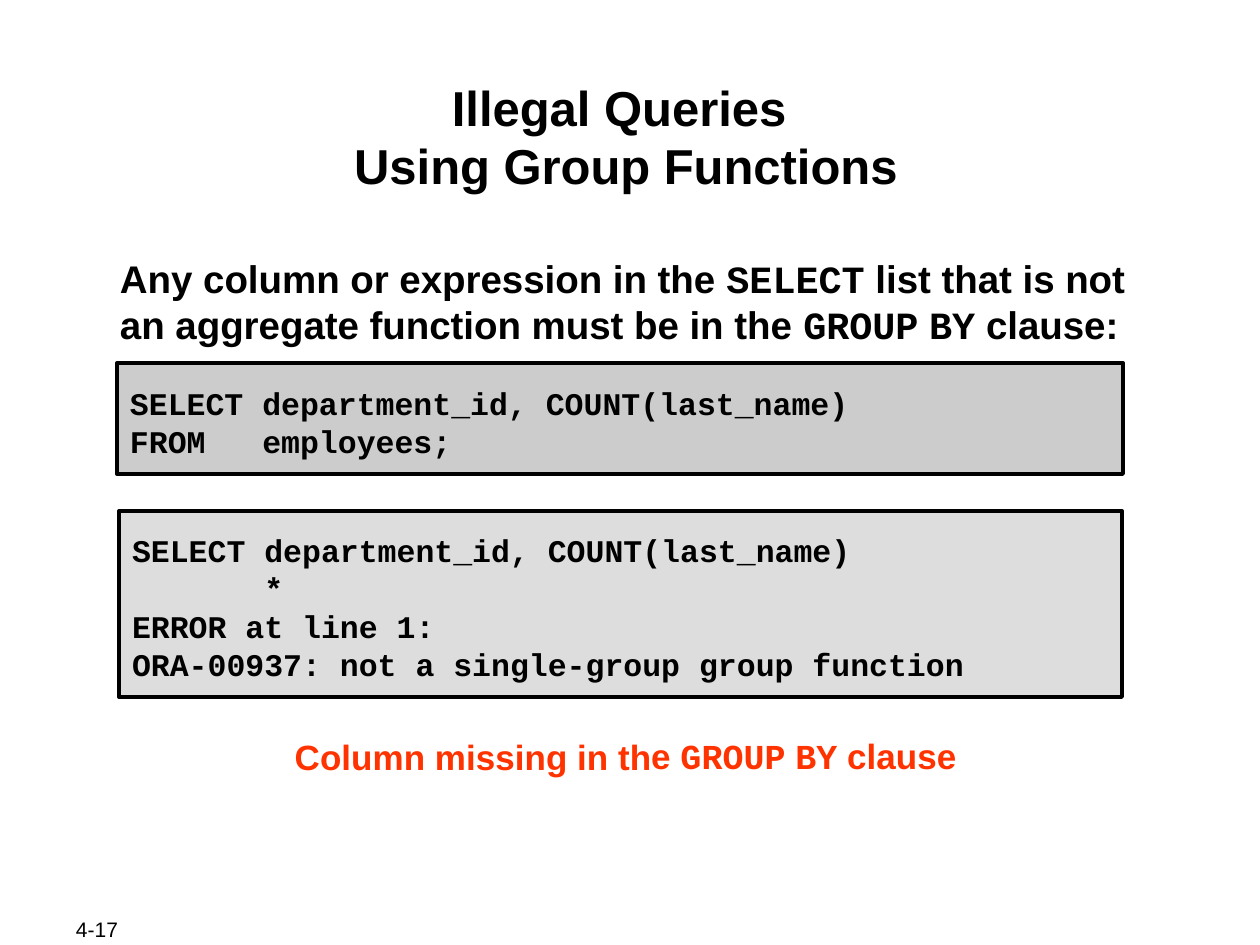
"""Build the slide on illegal queries using group functions."""
from dataclasses import dataclass

from pptx import Presentation
from pptx.dml.color import RGBColor
from pptx.enum.shapes import MSO_SHAPE
from pptx.enum.text import MSO_ANCHOR, PP_ALIGN
from pptx.util import Emu, Pt

PIXELS_PER_INCH = 126
EMU_PER_INCH = 914400
BLANK_LAYOUT = 6
RECTANGLE = MSO_SHAPE.RECTANGLE
TOP, MIDDLE = MSO_ANCHOR.TOP, MSO_ANCHOR.MIDDLE
LEFT, CENTER = PP_ALIGN.LEFT, PP_ALIGN.CENTER


@dataclass(frozen=True)
class Theme:
    """Colours, fonts and type sizes of the slide."""
    ink: str = "000000"
    warning: str = "FF3300"
    query_fill: str = "CCCCCC"
    error_fill: str = "DDDDDD"
    text_font: str = "Arial"
    code_font: str = "Courier New"
    title_size: int = 28
    body_size: int = 22
    caption_size: int = 20
    code_size: int = 18
    footer_size: int = 12
    border_width: float = 2.25
    line_pitch: float = 1.2


THEME = Theme()


@dataclass(frozen=True)
class Block:
    """A text block in px, where backticks switch to the code font."""
    box: tuple[int, int, int, int]
    paragraphs: tuple[str, ...]
    size: int
    insets: tuple[int, int, int, int]
    anchor: MSO_ANCHOR = TOP
    align: PP_ALIGN = LEFT
    color: str = THEME.ink
    bold: bool = True
    fill: str | None = None
    rotation: float = 0


TIGHT_INSETS = (1, 4, 1, 1)
CODE_INSETS = (13, 12, 13, 6)
CAPTION_INSETS = (13, 10, 13, 6)
FOOTER_INSETS = (13, 6, 13, 6)

BLOCKS = (
    Block((63, 917, 134, 25), ("4-17",), THEME.footer_size, FOOTER_INSETS,
          anchor=MIDDLE, bold=False),
    Block((122, 73, 1008, 121), ("Illegal Queries \vUsing Group Functions",),
          THEME.title_size, TIGHT_INSETS, align=CENTER),
    Block((119, 251, 1015, 96),
          ("Any column or expression in the `SELECT` list that is not an "
           "aggregate function must be in the `GROUP` `BY` clause:",),
          THEME.body_size, TIGHT_INSETS),
    Block((117, 363, 1006, 111),
          ("`SELECT department_id, COUNT(last_name)`",
           "`FROM   employees;`"),
          THEME.code_size, CODE_INSETS, anchor=MIDDLE, fill=THEME.query_fill),
    Block((119, 511, 1003, 186),
          ("`SELECT department_id, COUNT(last_name)`",
           "`       *`",
           "`ERROR at line 1:`",
           "`ORA-00937: not a single-group group function`"),
          THEME.code_size, CODE_INSETS, anchor=MIDDLE, fill=THEME.error_fill),
    Block((170, 725, 911, 54),
          ("Column missing in the `GROUP` `BY` clause",),
          THEME.caption_size, CAPTION_INSETS, align=CENTER,
          color=THEME.warning, rotation=-0.1),
)


def px(length: int) -> Emu:
    """Turn px into EMU."""
    return Emu(round(length * EMU_PER_INCH / PIXELS_PER_INCH))


def add_base_shape(slide, block: Block):
    """Add a bordered rectangle for a filled block, else a text box."""
    box = [px(length) for length in block.box]
    if block.fill is None:
        return slide.shapes.add_textbox(*box)
    shape = slide.shapes.add_shape(RECTANGLE, *box)
    shape.shadow.inherit = False
    shape.fill.solid()
    shape.fill.fore_color.rgb = RGBColor.from_string(block.fill)
    shape.line.color.rgb = RGBColor.from_string(THEME.ink)
    shape.line.width = Pt(THEME.border_width)
    return shape


def add_runs(paragraph, text: str, block: Block) -> None:
    """Write one paragraph with its line breaks and font switches."""
    for line_number, line in enumerate(text.split("\v")):
        if line_number:
            paragraph.add_line_break()
        for position, part in enumerate(line.split("`")):
            if not part:
                continue
            run = paragraph.add_run()
            run.text = part
            font_format = {
                "name": THEME.code_font if position % 2 else THEME.text_font,
                "size": Pt(block.size),
                "bold": block.bold,
            }
            for name, value in font_format.items():
                setattr(run.font, name, value)
            run.font.color.rgb = RGBColor.from_string(block.color)


def draw_block(slide, block: Block) -> None:
    """Draw one block with its text."""
    shape = add_base_shape(slide, block)
    shape.rotation = block.rotation
    frame = shape.text_frame
    left, top, right, bottom = (px(inset) for inset in block.insets)
    frame_format = {
        "word_wrap": True,
        "vertical_anchor": block.anchor,
        "margin_left": left,
        "margin_top": top,
        "margin_right": right,
        "margin_bottom": bottom,
    }
    for name, value in frame_format.items():
        setattr(frame, name, value)
    for number, text in enumerate(block.paragraphs):
        paragraph = frame.add_paragraph() if number else frame.paragraphs[0]
        paragraph.alignment = block.align
        paragraph.line_spacing = Pt(block.size * THEME.line_pitch)
        add_runs(paragraph, text, block)


def main() -> None:
    """Build and save the presentation."""
    presentation = Presentation()
    presentation.slide_width = px(1260)
    presentation.slide_height = px(945)
    slide = presentation.slides.add_slide(
        presentation.slide_layouts[BLANK_LAYOUT])
    for block in BLOCKS:
        draw_block(slide, block)
    presentation.save("out.pptx")


if __name__ == "__main__":
    main()
